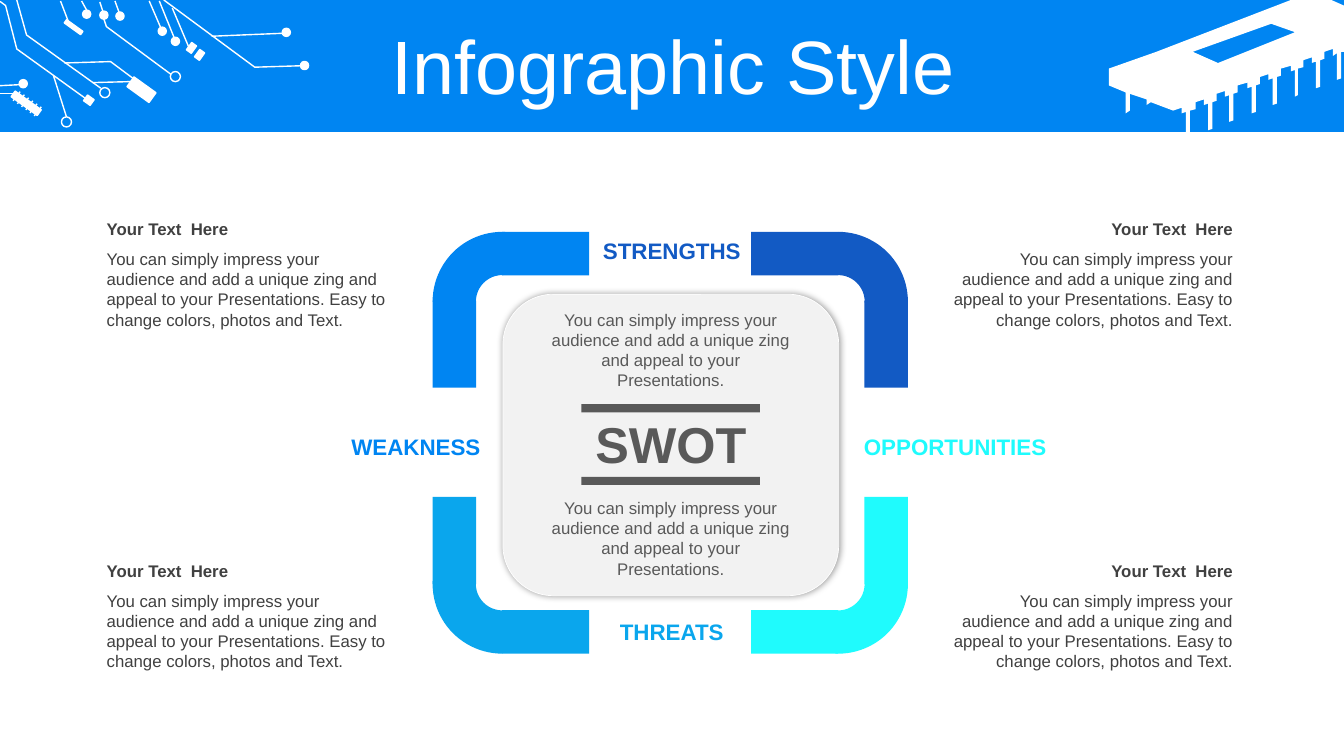
"""Build a SWOT infographic slide with a circuit-themed banner."""
from lxml import etree
from pptx import Presentation
from pptx.dml.color import RGBColor
from pptx.enum.shapes import MSO_CONNECTOR, MSO_SHAPE
from pptx.enum.text import MSO_ANCHOR, PP_ALIGN
from pptx.oxml import parse_xml
from pptx.oxml.ns import qn
from pptx.util import Pt

RECT, OVAL = MSO_SHAPE.RECTANGLE, MSO_SHAPE.OVAL
ROUND, ARC = MSO_SHAPE.ROUNDED_RECTANGLE, MSO_SHAPE.BLOCK_ARC
STRAIGHT = MSO_CONNECTOR.STRAIGHT
TOP, MIDDLE = MSO_ANCHOR.TOP, MSO_ANCHOR.MIDDLE
LEFT, CENTER, RIGHT = PP_ALIGN.LEFT, PP_ALIGN.CENTER, PP_ALIGN.RIGHT

WHITE = RGBColor(0xFF, 0xFF, 0xFF)
BLUE = RGBColor(0x00, 0x85, 0xF2)
NAVY = RGBColor(0x12, 0x5A, 0xC4)
SKY = RGBColor(0x0A, 0xA6, 0xED)
CYAN = RGBColor(0x1F, 0xFB, 0xFD)
PALE = RGBColor(0xF2, 0xF2, 0xF2)
GRAY = RGBColor(0x59, 0x59, 0x59)
DARK = RGBColor(0x40, 0x40, 0x40)

TILT = 35.7
PITCH = "You can simply impress your audience and add a unique zing and appeal to your Presentations."
DETAIL = PITCH + " Easy to change colors, photos and Text."

prs = Presentation()
prs.slide_width, prs.slide_height = Pt(960), Pt(540)
s = prs.slides.add_slide(prs.slide_layouts[6])


def add_block(kind, x, y, w, h, fill=None, line=None, weight=1, rotation=0):
    sp = s.shapes.add_shape(kind, Pt(x), Pt(y), Pt(w), Pt(h))
    sp.shadow.inherit = False
    sp.rotation = rotation
    for part, color in ((sp.fill, fill), (sp.line.fill, line)):
        if color is None:
            part.background()
        else:
            part.solid()
            part.fore_color.rgb = color
    if line is not None:
        sp.line.width = Pt(weight)
    return sp


def add_text(x, y, w, h, text, size, color, bold=False, align=CENTER, anchor=TOP):
    tf = s.shapes.add_textbox(Pt(x), Pt(y), Pt(w), Pt(h)).text_frame
    tf.word_wrap = True
    tf.vertical_anchor = anchor
    p = tf.paragraphs[0]
    p.alignment = align
    r = p.add_run()
    r.text = text
    for name, value in {"name": "Arial", "size": Pt(size), "bold": bold}.items():
        setattr(r.font, name, value)
    r.font.color.rgb = color
    return p


add_block(RECT, 0, 0, 960, 94.3, BLUE)

LEG = [(0, 0), (0, 18.7), (-2.9, 19.5), (-2.9, 0.8),
       (-5.8, 2.1), (-5.8, -2.3), (-12.2, 0), (-12.2, 4.5)]
legs = [(958.3 - 15.43 * i + dx, 37.4 + 5.97 * i + dy) for i in range(8) for dx, dy in LEG]
chip_edge = [(951.1, 0), (960, 3.6), (960, 36.7)] + legs[:-1] + [
    (822.2, 72.7), (822.2, 73.4), (819.4, 74.9), (819.4, 71.3), (807.1, 67), (807.1, 79.2),
    (804.2, 80.6), (804.2, 65.5), (792, 61.2), (792, 49.3), (825.8, 37.4)]
fb = s.shapes.build_freeform(922.3, 0, scale=Pt(1))
fb.add_line_segments(chip_edge, close=True)
fb.move_to(907.9, 16.6)
fb.add_line_segments([(852.5, 37.4), (869.8, 44.6), (925.2, 23)], close=True)
chip = fb.convert_to_shape()
chip.shadow.inherit = False
chip.fill.solid()
chip.fill.fore_color.rgb = WHITE
chip.line.fill.background()

for x, y, w, h in [(91.4, 59.8, 19.4, 8.6), (45.4, 18, 14.4, 2.9), (60.5, 69.1, 5.8, 5),
                   (134.6, 31, 4.3, 6.5), (140.4, 36, 4.3, 6.5), (7.2, 71.3, 23, 5)]:
    add_block(RECT, x, y, w, h, WHITE, WHITE, rotation=TILT)
for x, y in [(214.6, 43.9), (201.6, 20.2), (59, 7.2), (71.3, 7.9), (82.8, 8.6),
             (13.7, 56.9), (122.4, 26.6), (113, 19.4)]:
    add_block(OVAL, x, y, 5.8, 5.8, WHITE, WHITE)
for x, y in [(121.7, 51.1), (71.3, 62.6), (43.9, 83.5)]:
    add_block(OVAL, x, y, 7.2, 7.2, line=WHITE)

wires = [(43.2, 0.7, 49, 15.8), (58.3, 0.7, 61.9, 7.2), (71.3, 1.4, 73.4, 7.9),
         (82.1, 0.7, 85, 8.6), (106.6, 0.7, 115.9, 22.3), (113.8, 0.7, 124.6, 27.4),
         (151.2, 25.9, 201.6, 23.8), (123.1, 5.8, 134.6, 33.1), (0, 61.2, 13.7, 60.5),
         (0, 67, 10.1, 67), (38.2, 54, 47.5, 83.5), (66.2, 59, 93.6, 58.3)]
wires += [(9.4 + 3.02 * i, 72 + 2.16 * i, 14.4 + 3.02 * i, 65.5 + 2.16 * i) for i in range(6)]
for ends in wires:
    wire = s.shapes.add_connector(STRAIGHT, *map(Pt, ends))
    wire.line.color.rgb = WHITE
    wire.line.width = Pt(1)
    etree.SubElement(wire._element.spPr, qn("a:effectLst"))

for start, *bends in [[(117.4, 0), (182.2, 48.2), (215.3, 46.8)],
                      [(11.5, 0), (19.4, 25.2), (72, 63.4)],
                      [(0, 1.4), (3.6, 4.3), (12.2, 34.6), (61.9, 71.3)],
                      [(46.1, 44.6), (79.2, 43.9), (95, 56.2)],
                      [(74.2, 13), (75.6, 19.4), (122.4, 53.3)]]:
    fb = s.shapes.build_freeform(*start, scale=Pt(1))
    fb.add_line_segments(bends, close=False)
    trace = fb.convert_to_shape()
    trace.shadow.inherit = False
    trace.fill.background()
    trace.line.color.rgb = WHITE
    trace.line.width = Pt(1)

title = add_text(25.2, 21.6, 911.5, 56.9, "Infographic Style", 54, WHITE, anchor=MIDDLE)
title.line_spacing = 0.9

card = add_block(ROUND, 359.3, 210.2, 239.8, 215.3, PALE, WHITE, 0.5)
card._element.spPr.find(qn("a:effectLst")).append(parse_xml(
    '<a:outerShdw xmlns:a="http://schemas.openxmlformats.org/drawingml/2006/main" '
    'blurRad="63500" dist="0" dir="0" algn="ctr" rotWithShape="0">'
    '<a:srgbClr val="000000"><a:alpha val="40000"/></a:srgbClr></a:outerShdw>'))

for x, y, label, color in [(404.6, 165.6, "STRENGTHS", NAVY), (607, 306, "OPPORTUNITIES", CYAN),
                           (221.8, 306, "WEAKNESS", BLUE), (404.6, 437.8, "THREATS", SKY)]:
    add_text(x, y, 150.5, 26.6, label, 16, color, True)

for right, bottom, color, turn in [(0, 0, BLUE, 0), (1, 0, NAVY, 90),
                                   (0, 1, SKY, 270), (1, 1, CYAN, 180)]:
    arc = add_block(ARC, (309, 548.8)[right], (165.6, 367.2)[bottom], 99.7, 99.7, color, rotation=turn)
    for i, value in enumerate((108, 163.39, 0.31)):
        arc.adjustments[i] = value
    add_block(RECT, (358.6, 536.6)[right], (165.6, 435.8)[bottom], 62.2, 31.1, color)
    add_block(RECT, (309, 617.4)[right], (214.7, 355)[bottom], 31.1, 62.2, color)

    x, w, align = ((69.1, 216.7, LEFT), (672.5, 215.3, RIGHT))[right]
    y = (152.6, 396.7)[bottom]
    add_text(x, y, w, 21.6, "Your Text  Here", 12, DARK, True, align)
    add_text(x, y + 21.6, w, 65.5, DETAIL, 12, DARK, align=align)

add_text(409, 291.6, 140.4, 51.1, "SWOT", 36, GRAY, True)
for bar_y, pitch_y in [(288.7, 217.4), (340.6, 352.1)]:
    add_block(RECT, 415.4, bar_y, 127.4, 5.8, GRAY)
    add_text(385.2, pitch_y, 187.9, 65.5, PITCH, 12, GRAY)

prs.save("out.pptx")
